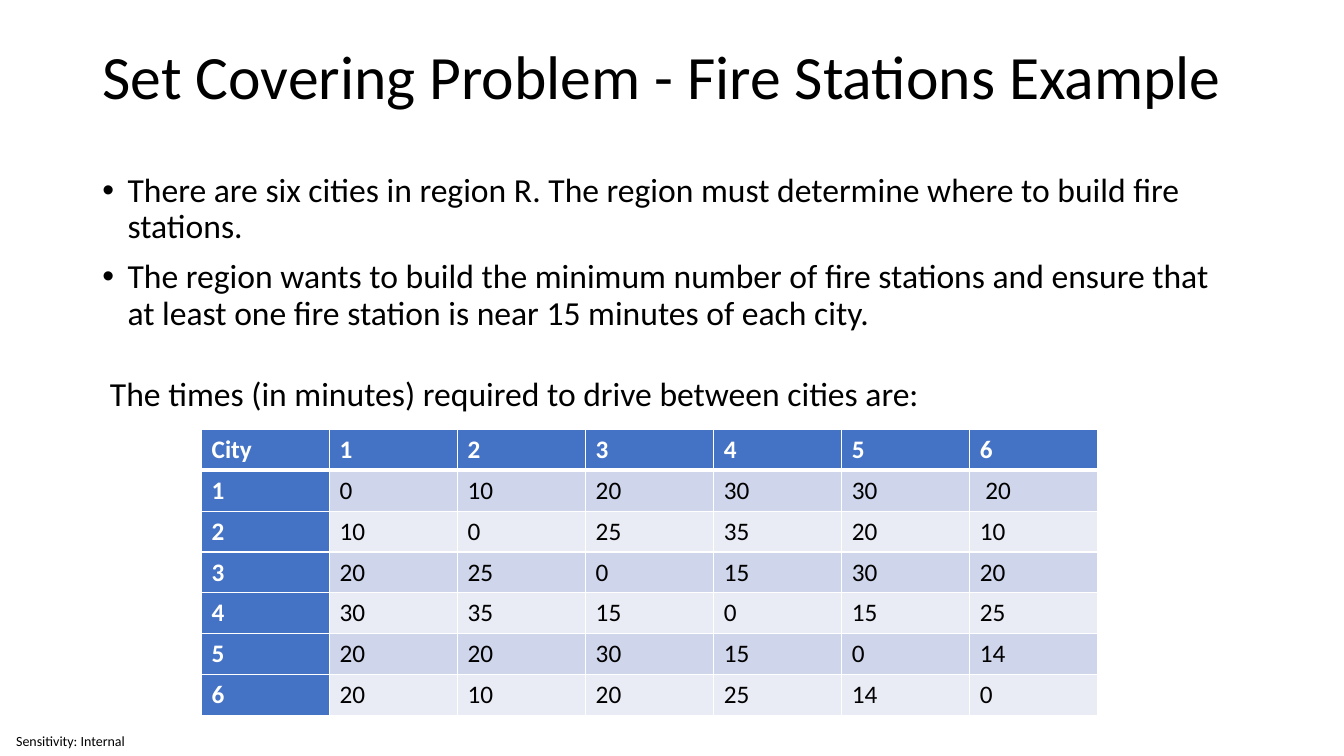
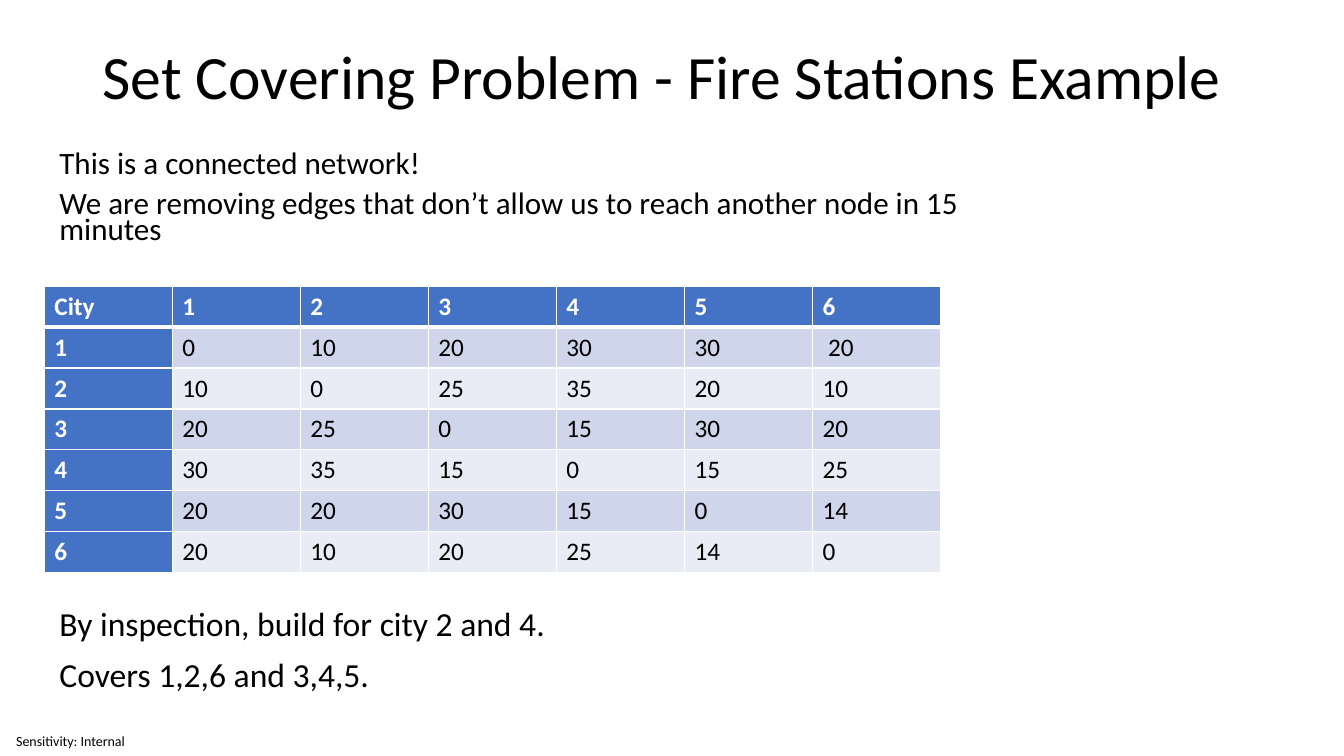
from lxml import etree
from pptx import Presentation
from pptx import util as u
from pptx.dml.color import RGBColor
from pptx.enum import text
from pptx.oxml.ns import qn

FONT = "Calibri"
BLACK, WHITE = "000000", "FFFFFF"
HEADER_BLUE, BAND_DARK, BAND_LIGHT = "4472C4", "CFD5EA", "E9EBF5"

TITLE = "Set Covering Problem - Fire Stations Example"
FOOTER = "Sensitivity: Internal"
TITLE_BOX = (6.88, 5.33, 86.25, 10.27)
FOOTER_BOX = (0, 96.13, 10.5, 3.87)
TABLE_SHARE = (66.68, 37.87)

DRIVE_TIMES = [
    ["City", "1", "2", "3", "4", "5", "6"],
    ["1", "0", "10", "20", "30", "30", " 20"],
    ["2", "10", "0", "25", "35", "20", "10"],
    ["3", "20", "25", "0", "15", "30", "20"],
    ["4", "30", "35", "15", "0", "15", "25"],
    ["5", "20", "20", "30", "15", "0", "14"],
    ["6", "20", "10", "20", "25", "14", "0"],
]

presentation = Presentation()
presentation.slide_width = u.Inches(13.33)
presentation.slide_height = u.Inches(7.5)


def color(value):
    return RGBColor.from_string(value)


def place(box):
    width, height = presentation.slide_width, presentation.slide_height
    return [u.Emu(round(share * size / 100)) for share, size in zip(box, (width, height) * 2)]


def style_paragraph(paragraph, size, hue=BLACK, bold=False):
    for run in paragraph.runs:
        run.font.name = FONT
        run.font.size = u.Pt(size)
        run.font.bold = bold
        run.font.color.rgb = color(hue)


def add_bullet(paragraph):
    properties = paragraph._p.get_or_add_pPr()
    properties.set("marL", str(u.Inches(0.25)))
    properties.set("indent", str(-u.Inches(0.25)))
    etree.SubElement(properties, qn("a:buFont")).set("typeface", "Arial")
    etree.SubElement(properties, qn("a:buChar")).set("char", "•")


def add_text(slide, box, lines, size, line_spacing=0.9, bullets=0, gaps=None):
    frame = slide.shapes.add_textbox(*place(box)).text_frame
    frame.word_wrap = True
    for index, line in enumerate(lines):
        paragraph = frame.paragraphs[0] if index == 0 else frame.add_paragraph()
        paragraph.text = line
        paragraph.line_spacing = line_spacing
        if index:
            paragraph.space_before = u.Pt((gaps or {}).get(index, 10))
        if index < bullets:
            add_bullet(paragraph)
        style_paragraph(paragraph, size)
    return frame


def add_title(slide):
    title = slide.shapes.title
    title.left, title.top, title.width, title.height = place(TITLE_BOX)
    frame = title.text_frame
    frame.text = TITLE
    frame.auto_size = text.MSO_AUTO_SIZE.NONE
    frame.vertical_anchor = text.MSO_ANCHOR.MIDDLE
    paragraph = frame.paragraphs[0]
    paragraph.alignment = text.PP_ALIGN.LEFT
    paragraph.line_spacing = 0.9
    style_paragraph(paragraph, 44)


def add_footer(slide):
    frame = add_text(slide, FOOTER_BOX, [FOOTER], 10, line_spacing=1)
    frame.margin_left = u.Inches(0.16)
    frame.margin_top = frame.margin_right = frame.margin_bottom = 0
    frame.vertical_anchor = text.MSO_ANCHOR.MIDDLE


def add_borders(cell, is_header):
    properties = cell._tc.get_or_add_tcPr()
    for side in "LRTB":
        points = 3 if is_header and side == "B" else 1
        line = etree.SubElement(properties, qn(f"a:ln{side}"), w=str(u.Pt(points)))
        fill = etree.SubElement(line, qn("a:solidFill"))
        etree.SubElement(fill, qn("a:srgbClr"), val=WHITE)


def add_times_table(slide, left, top):
    count = len(DRIVE_TIMES)
    box = place((left, top, *TABLE_SHARE))
    table = slide.shapes.add_table(count, count, *box).table
    table.first_col = True
    for row, values in enumerate(DRIVE_TIMES):
        table.rows[row].height = box[3] // count
        table.columns[row].width = box[2] // count
        for column, value in enumerate(values):
            cell = table.cell(row, column)
            heading = row == 0 or column == 0
            add_borders(cell, row == 0)
            cell.fill.solid()
            band = BAND_DARK if row % 2 else BAND_LIGHT
            cell.fill.fore_color.rgb = color(HEADER_BLUE if heading else band)
            cell.text = value
            style_paragraph(cell.text_frame.paragraphs[0], 18, WHITE if heading else BLACK, heading)


def add_example_slide():
    slide = presentation.slides.add_slide(presentation.slide_layouts[5])
    add_title(slide)
    add_footer(slide)
    return slide


def build_problem_slide():
    slide = add_example_slide()
    add_text(slide, (6.88, 22.27, 86.25, 34), [
        "There are six cities in region R. The region must determine where to build fire stations.",
        "The region wants to build the minimum number of fire stations and ensure that "
        "at least one fire station is near 15 minutes of each city.",
        " The times (in minutes) required to drive between cities are:",
    ], 24, bullets=2, gaps={2: 32})
    add_times_table(slide, 15, 56.8)


def build_solution_slide():
    slide = add_example_slide()
    add_text(slide, (3.68, 19.6, 75.23, 14.4), [
        "This is a connected network!",
        "We are removing edges that don’t allow us to reach another node in 15 minutes",
    ], 22.2, line_spacing=0.7)
    add_times_table(slide, 3.3, 37.87)
    add_text(slide, (3.68, 79.73, 75.23, 14.4), [
        "By inspection, build for city 2 and 4.",
        "Covers 1,2,6 and 3,4,5.",
    ], 24)


def main():
    build_problem_slide()
    build_solution_slide()
    presentation.save("out.pptx")


if __name__ == "__main__":
    main()
